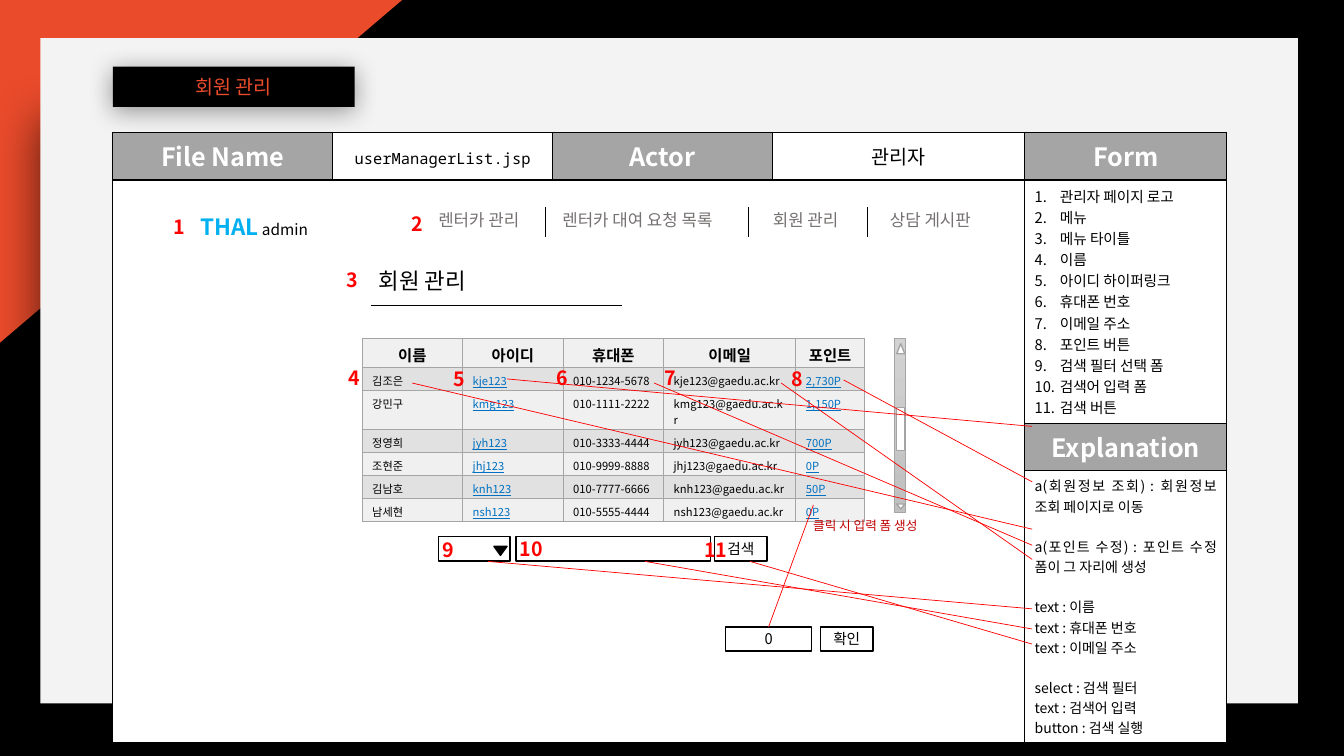
import pptx
import pptx.dml.color
import pptx.enum.shapes
import pptx.enum.text
import pptx.oxml
import pptx.oxml.ns
import pptx.util
from lxml import etree

Pt = pptx.util.Pt
RGBColor = pptx.dml.color.RGBColor
SHAPE = pptx.enum.shapes.MSO_SHAPE
STRAIGHT = pptx.enum.shapes.MSO_CONNECTOR.STRAIGHT
ALIGN = pptx.enum.text.PP_ALIGN
MIDDLE = pptx.enum.text.MSO_ANCHOR.MIDDLE
FIT = pptx.enum.text.MSO_AUTO_SIZE.SHAPE_TO_FIT_TEXT
qn = pptx.oxml.ns.qn

BLACK = RGBColor(0x00, 0x00, 0x00)
WHITE = RGBColor(0xFF, 0xFF, 0xFF)
ORANGE = RGBColor(0xE9, 0x4B, 0x2B)
PANEL = RGBColor(0xF3, 0xF3, 0xF3)
GRAY = RGBColor(0xA5, 0xA5, 0xA5)
MENU_GRAY = RGBColor(0x76, 0x71, 0x71)
BAR_TOP = RGBColor(0xD2, 0xD2, 0xD2)
BAR_BOTTOM = RGBColor(0xC0, 0xC0, 0xC0)
ROW_LIGHT = RGBColor(0xF0, 0xF0, 0xF0)
ROW_DARK = RGBColor(0xE1, 0xE1, 0xE1)
RED = RGBColor(0xFF, 0x00, 0x00)
DARK_RED = RGBColor(0xC0, 0x00, 0x00)
SKY = RGBColor(0x00, 0xB0, 0xF0)
LINK = RGBColor(0x00, 0x70, 0xC0)
SANS = "Noto Sans CJK KR"
MONO = "Noto Sans Mono"


def write(paragraph, text, size, color=BLACK, align=None, name=SANS, **format_values):
    run = paragraph.add_run()
    run.text = text
    run.font.color.rgb = color
    values = {"size": Pt(size), "name": name, "bold": False, **format_values}
    for attribute, value in values.items():
        setattr(run.font, attribute, value)
    etree.SubElement(run.font._element, qn("a:ea"), typeface=name)
    if align is not None:
        paragraph.alignment = align


def add_box(kind, bounds, fill, line=None, line_width=1):
    shape = slide.shapes.add_shape(kind, *map(Pt, bounds))
    shape.shadow.inherit = False
    shape.fill.solid()
    shape.fill.fore_color.rgb = fill
    if line is None:
        shape.line.fill.background()
    else:
        shape.line.color.rgb = line
        shape.line.width = Pt(line_width)
    return shape


presentation = pptx.Presentation()
presentation.slide_width, presentation.slide_height = Pt(960), Pt(540)
slide = presentation.slides.add_slide(presentation.slide_layouts[6])
slide.background.fill.solid()
slide.background.fill.fore_color.rgb = BLACK

# Backdrop and title, each with a soft shadow
corner = add_box(SHAPE.RIGHT_TRIANGLE, (0, 0, 287.3, 244.8), ORANGE)
corner._element.spPr.xfrm.set("flipV", "1")
panel = add_box(SHAPE.RECTANGLE, (28.8, 27.2, 898.2, 475.2), PANEL)
title = add_box(SHAPE.RECTANGLE, (80.6, 47.6, 172.8, 28.8), BLACK)
title.text_frame.vertical_anchor = MIDDLE
write(title.text_frame.paragraphs[0], "회원 관리", 14, ORANGE, ALIGN.CENTER)
for shape, alpha, blur, distance, angle in ((corner, 40, 23, 19, 45), (panel, 64, 33, 58, 90), (title, 40, 18, 3, 90)):
    effects = shape._element.spPr.find(qn("a:effectLst"))
    shadow = etree.SubElement(effects, qn("a:outerShdw"), blurRad=str(Pt(blur)), dist=str(Pt(distance)),
                              dir=str(angle * 60000), algn="ctr", rotWithShape="0")
    shadow_color = etree.SubElement(shadow, qn("a:srgbClr"), val=str(BLACK))
    etree.SubElement(shadow_color, qn("a:alpha"), val=str(alpha * 1000))

# Specification frame
frame_columns, frame_rows = (157.1, 157.1, 157.1, 180, 144.5), (34, 132.5, 34, 158.4)
frame = slide.shapes.add_table(4, 5, Pt(80.6), Pt(94.6), Pt(795.8), Pt(358.9)).table
for cell in frame.iter_cells():
    cell.fill.solid()
    cell.fill.fore_color.rgb = WHITE
frame.cell(1, 0).merge(frame.cell(3, 3))
for row, column, heading in ((0, 0, "File Name"), (0, 2, "Actor"), (0, 4, "Form"), (2, 4, "Explanation")):
    cell = frame.cell(row, column)
    cell.fill.fore_color.rgb = GRAY
    write(cell.text_frame.paragraphs[0], heading, 18, WHITE, ALIGN.CENTER, bold=True)
file_name = frame.cell(0, 1).text_frame.paragraphs[0]
file_name.line_spacing = 1.5
write(file_name, "userManagerList.jsp", 11, align=ALIGN.CENTER, name=MONO)
frame.cell(0, 3).vertical_anchor = MIDDLE
write(frame.cell(0, 3).text_frame.paragraphs[0], "관리자", 14, align=ALIGN.CENTER)

# Numbered form items
items = ("관리자 페이지 로고", "메뉴", "메뉴 타이틀", "이름", "아이디 하이퍼링크", "휴대폰 번호",
         "이메일 주소", "포인트 버튼", "검색 필터 선택 폼", "검색어 입력 폼", "검색 버튼")
form_text = frame.cell(1, 4).text_frame
for index, item in enumerate(items):
    paragraph = form_text.add_paragraph() if index else form_text.paragraphs[0]
    write(paragraph, item, 10.5, align=ALIGN.JUSTIFY)
    properties = paragraph._p.get_or_add_pPr()
    properties.set("marL", str(Pt(18)))
    properties.set("indent", str(-Pt(18)))
    etree.SubElement(properties, qn("a:buAutoNum"), type="arabicPeriod")

# Explanations, in groups set apart by spacing
groups = (("a(회원정보 조회) : 회원정보 조회 페이지로 이동",), ("a(포인트 수정) : 포인트 수정 폼이 그 자리에 생성",),
          ("text : 이름", "text : 휴대폰 번호", "text : 이메일 주소"),
          ("select : 검색 필터", "text : 검색어 입력", "button : 검색 실행"))
explanation = frame.cell(3, 4).text_frame
paragraph = explanation.paragraphs[0]
for group in groups:
    for index, line in enumerate(group):
        if group is not groups[0]:
            paragraph = explanation.add_paragraph()
            paragraph.space_before = Pt(0 if index else 14.4)
        write(paragraph, line, 10, align=ALIGN.JUSTIFY)

# Scroll bar
bar = add_box(SHAPE.RECTANGLE, (638.6, 241.9, 7.9, 123.8), BAR_TOP, GRAY, 0.5)
bar.fill.gradient()
bar.fill.gradient_angle = 270
for stop, color in zip(bar.fill.gradient_stops, (BAR_TOP, BAR_BOTTOM)):
    stop.color.rgb = color
for kind, top, height in ((SHAPE.RECTANGLE, 290.9, 31), (SHAPE.ISOSCELES_TRIANGLE, 245.5, 7.2),
                          (SHAPE.FLOWCHART_MERGE, 360, 3.6)):
    add_box(kind, (640.5, top, 5.8, height), WHITE, GRAY)

# Member table, with a small bottom margin to keep the rows low
members = (("김조은", "kje123", "010-1234-5678", "2,730P"), ("강민구", "kmg123", "010-1111-2222", "1,150P"),
           ("정영희", "jyh123", "010-3333-4444", "700P"), ("조현준", "jhj123", "010-9999-8888", "0P"),
           ("김남호", "knh123", "010-7777-6666", "50P"), ("남세현", "nsh123", "010-5555-4444", "0P"))
member_columns, member_rows = (71.8, 71.8, 71.8, 94.5, 49), (15.84,) * 7
member_table = slide.shapes.add_table(7, 5, Pt(258.7), Pt(241.9), Pt(358.9), Pt(110.9)).table
rows = [("이름", "아이디", "휴대폰", "이메일", "포인트")]
rows += [(name, login, phone, login + "@gaedu.ac.kr", points) for name, login, phone, points in members]
for row, values in enumerate(rows):
    for column, value in enumerate(values):
        cell = member_table.cell(row, column)
        cell.margin_bottom = Pt(1.1)
        cell.fill.solid()
        cell.fill.fore_color.rgb = ROW_DARK if row % 2 else ROW_LIGHT
        paragraph = cell.text_frame.paragraphs[0]
        if row == 0:
            write(paragraph, value, 11, align=ALIGN.CENTER, bold=True)
        elif column in (1, 4):
            write(paragraph, value, 8, LINK, underline=True)
        else:
            write(paragraph, value, 8)

# Sizes and borders of both tables
for table, widths, heights, color in ((frame, frame_columns, frame_rows, BLACK),
                                      (member_table, member_columns, member_rows, GRAY)):
    for column, width in zip(table.columns, widths):
        column.width = Pt(width)
    for row, height in zip(table.rows, heights):
        row.height = Pt(height)
    for cell in table.iter_cells():
        for index, side in enumerate(("a:lnL", "a:lnR", "a:lnT", "a:lnB")):
            border = pptx.oxml.parse_xml(
                f'<{side} xmlns:a="http://schemas.openxmlformats.org/drawingml/2006/main" w="{Pt(1)}">'
                f'<a:solidFill><a:srgbClr val="{color}"/></a:solidFill></{side}>')
            cell._tc.get_or_add_tcPr().insert(index, border)

# Search and point forms
form_boxes = {}
for label, left, top, width in (("0", 518.4, 447.8, 61.2), ("확인", 586.1, 447.8, 37.4), ("", 368.6, 383.4, 139),
                                ("", 313.2, 383.4, 51.1), ("검색", 510.5, 383.4, 37.4)):
    box = add_box(SHAPE.RECTANGLE, (left, top, width, 17.3), WHITE, BLACK)
    box.text_frame.vertical_anchor = MIDDLE
    if label:
        form_boxes[label] = box
        write(box.text_frame.paragraphs[0], label, 10.5, align=ALIGN.CENTER)
add_box(SHAPE.FLOWCHART_MERGE, (352.8, 390.2, 9.4, 6.5), BLACK, BLACK)

# Rules, then red callout lines
rules = [(265, 218.2, 444.2, 218.2)] + [(x, 147.8, x, 169.2) for x in (389.5, 534.2, 619.9)]
callouts = [(294.5, 273.6, 737.3, 378), (362.2, 270.7, 737.3, 304.6), (602.6, 271.4, 737.3, 344.2),
            (467.3, 273.6, 737.3, 389.5), (558, 273.6, 737.3, 399.6), (737.3, 434.9, 348.5, 401),
            (737.3, 449.3, 460.8, 401), (737.3, 460.1, 535.7, 401), (581, 360.7, 549, 447.8)]
for color, lines in ((BLACK, rules), (RED, callouts)):
    for ends in lines:
        connector = slide.shapes.add_connector(STRAIGHT, *map(Pt, ends))
        connector.line.color.rgb = color
        connector.line.width = Pt(0.5)
        etree.SubElement(connector._element.spPr, qn("a:effectLst"))
connector.end_connect(form_boxes["0"], 0)

# Labels: text, left, top, width, height, size, colour, bold
labels = [("회원 관리", 263.5, 187.2, 85, 26.6, 16, BLACK, False),
          ("클릭 시 입력 폼 생성", 573.8, 366.5, 100, 18, 9, DARK_RED, False),
          ("THAL", 136.1, 149, 126.7, 26.6, 16, SKY, True)]
labels += [(text, left, 146.2, width, 21.6, 12, MENU_GRAY, False) for text, left, width in (
    ("렌터카 관리", 306, 79.2), ("렌터카 대여 요청 목록", 394.6, 136.8),
    ("회원 관리", 545, 67), ("상담 게시판", 628.6, 79.2))]
badges = ((116.6, 149.8), (286.6, 147.6), (240.5, 187.9), (241.9, 257.8), (316.8, 258.5), (390.2, 257.8),
          (467.3, 257.8), (558, 258.5), (308.9, 380.9), (364.3, 380.2), (496.1, 380.9))
labels += [(str(number), left, top, 23 if number < 10 else 31, 24.5, 14, RED, True)
           for number, (left, top) in enumerate(badges, 1)]
for text, left, top, width, height, size, color, bold in labels:
    text_frame = slide.shapes.add_textbox(Pt(left), Pt(top), Pt(width), Pt(height)).text_frame
    text_frame.word_wrap = text == "THAL"
    text_frame.auto_size = FIT
    write(text_frame.paragraphs[0], text, size, color, bold=bold)
    if text == "THAL":
        write(text_frame.paragraphs[0], " admin", 11)

presentation.save("out.pptx")
